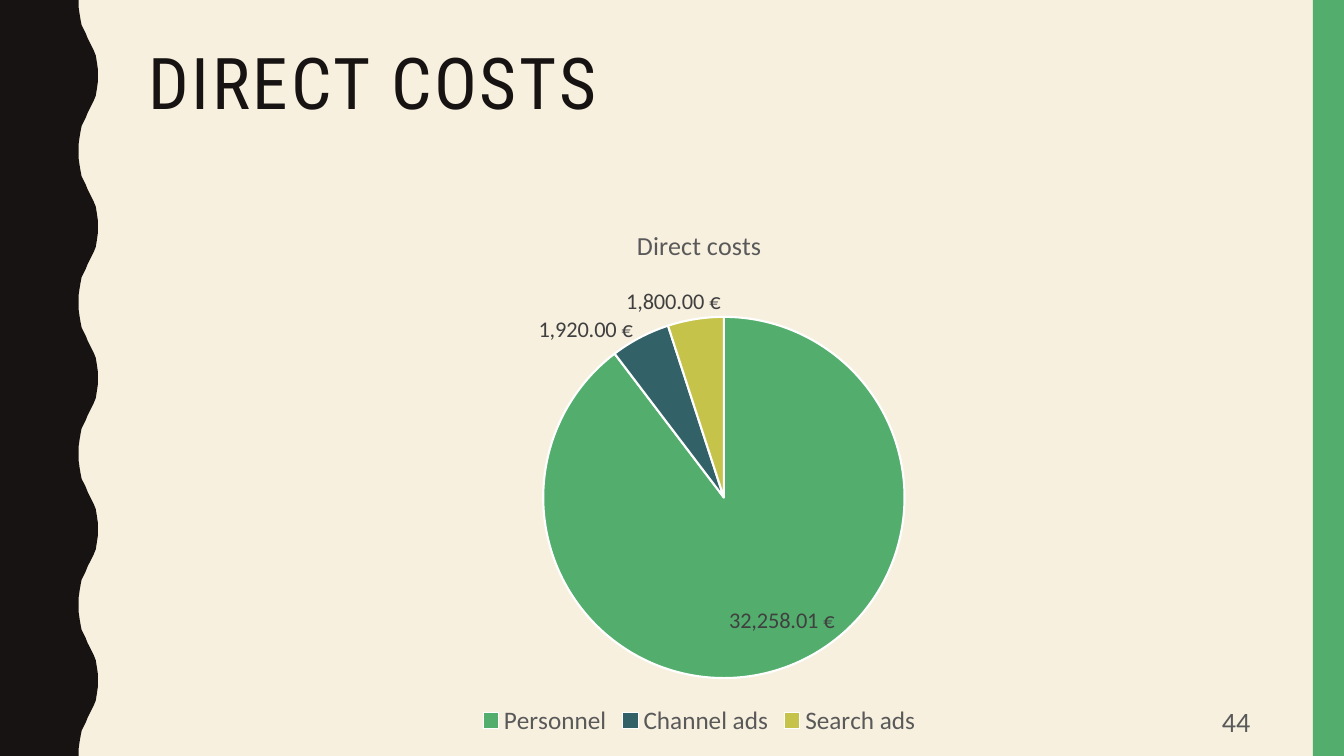
from dataclasses import dataclass

from lxml import etree
from pptx import Presentation
from pptx.chart.data import CategoryChartData
from pptx.dml.color import RGBColor
from pptx.enum.chart import XL_CHART_TYPE, XL_LABEL_POSITION as LabelPosition, XL_LEGEND_POSITION
from pptx.enum.shapes import MSO_SHAPE
from pptx.enum.text import MSO_ANCHOR as Anchor, MSO_AUTO_SIZE, PP_ALIGN as Align
from pptx.oxml.ns import qn
from pptx.util import Inches, Pt

TITLE = "DIRECT COSTS"
CHART_TITLE = "Direct costs"
PAGE_NUMBER = "44"
INSIDE, OUTSIDE = LabelPosition.INSIDE_END, LabelPosition.OUTSIDE_END
# Name, value, colour, label position, label shift as fractions of the chart area
COSTS = [
    ("Personnel", 32258.01, "53AE6E", INSIDE, (0.049, -0.052)),
    ("Channel ads", 1920, "326267", OUTSIDE, (-0.004, 0.022)),
    ("Search ads", 1800, "C5C34A", OUTSIDE, (0.023, 0.004)),
]
EURO_FORMAT = '#,##0.00\\ "€"'

SLIDE_WIDTH, SLIDE_HEIGHT = 13.33, 7.5
CONTENT_LEFT, CONTENT_WIDTH = 1.37, 11.13
STRIP_WIDTH = 0.31
# Fractions of the chart area taken by the pie
PIE_LAYOUT = {"x": 0.361, "y": 0.206, "w": 0.322, "h": 0.677}

# Half a wave of the left band, from trough to crest, in hundredths of an inch: (x, y)
WAVE_PERIOD = 150
HALF_WAVE = [
    (78, 0), (78, 7), (79, 14), (80, 20), (81, 25), (83, 29), (85, 33), (87, 38),
    (89, 42), (91, 46), (93, 50), (95, 55), (96, 61), (97, 68), (97, 75),
]


@dataclass(frozen=True)
class Theme:
    background: str = "F7F0DF"
    dark: str = "171312"
    accent: str = "53AE6E"
    grey: str = "595959"
    label: str = "404040"
    edge: str = "FFFFFF"
    heading_font: str = "Roboto Condensed"
    body_font: str = "Calibri"
    title_size: float = 51
    chart_title_size: float = 18.6
    legend_size: float = 18
    label_size: float = 16
    number_size: float = 20


THEME = Theme()


def style_font(font, size, color, name=THEME.body_font):
    font.size, font.name, font.bold = Pt(size), name, False
    font.color.rgb = RGBColor.from_string(color)


def paint(shape, color):
    shape.shadow.inherit = False
    shape.fill.solid()
    shape.fill.fore_color.rgb = RGBColor.from_string(color)
    shape.line.fill.background()


def write_text(shape, text, *, size, color, font=THEME.body_font, align=Align.LEFT,
               anchor=Anchor.TOP, line_spacing=1.0, tracking=0):
    """Fill a shape with one paragraph; tracking is letter spacing in points."""
    frame = shape.text_frame
    frame.word_wrap, frame.auto_size = True, MSO_AUTO_SIZE.NONE
    frame.vertical_anchor = anchor
    paragraph = frame.paragraphs[0]
    paragraph.alignment, paragraph.line_spacing = align, line_spacing
    run = paragraph.add_run()
    run.text = text
    style_font(run.font, size, color, font)
    if tracking:
        run.font._element.set("spc", str(tracking * 100))


def add_wavy_band(slide):
    height = round(SLIDE_HEIGHT * 100)
    wave = HALF_WAVE + [(x, WAVE_PERIOD - y) for x, y in HALF_WAVE[-2:0:-1]]
    edge = [(x, y + start) for start in range(0, height, WAVE_PERIOD) for x, y in wave]
    outline = edge + [(HALF_WAVE[0][0], height), (0, height)]
    builder = slide.shapes.build_freeform(0, 0, scale=Inches(0.01))
    builder.add_line_segments(outline, close=True)
    paint(builder.convert_to_shape(), THEME.dark)


def set_layout(parent, index, settings):
    """Give a chart part a manual layout as its child at the index."""
    for old_layout in parent.findall(qn("c:layout")):
        parent.remove(old_layout)
    layout = etree.Element(qn("c:layout"))
    manual = etree.SubElement(layout, qn("c:manualLayout"))
    for name, value in settings.items():
        etree.SubElement(manual, qn(f"c:{name}")).set("val", str(value))
    parent.insert(index, layout)


def add_cost_chart(slide):
    names, values, colors, positions, shifts = zip(*COSTS)
    data = CategoryChartData(number_format=EURO_FORMAT)
    data.categories = names
    data.add_series(CHART_TITLE, values)
    chart = slide.shapes.add_chart(
        XL_CHART_TYPE.PIE, Inches(CONTENT_LEFT), Inches(2.05),
        Inches(CONTENT_WIDTH), Inches(5.3), data).chart
    style_font(chart.font, THEME.legend_size, THEME.grey)

    chart.has_title = True
    title_frame = chart.chart_title.text_frame
    title_frame.text = CHART_TITLE
    style_font(title_frame.paragraphs[0].runs[0].font, THEME.chart_title_size, THEME.grey)
    chart.chart_title.include_in_layout = False

    chart.has_legend = True
    chart.legend.position = XL_LEGEND_POSITION.BOTTOM
    chart.legend.include_in_layout = False
    style_font(chart.legend.font, THEME.legend_size, THEME.grey)

    plot = chart.plots[0]
    plot.vary_by_categories = True
    series = plot.series[0]
    labels = series.data_labels
    labels.show_value = True
    labels.number_format, labels.number_format_is_linked = EURO_FORMAT, False
    style_font(labels.font, THEME.label_size, THEME.label)
    for leader_lines in labels._element.findall(qn("c:showLeaderLines")):
        leader_lines.set("val", "0")

    for index, (color, position, shift) in enumerate(zip(colors, positions, shifts)):
        point = series.points[index]
        point.format.fill.solid()
        point.format.fill.fore_color.rgb = RGBColor.from_string(color)
        point.format.line.color.rgb = RGBColor.from_string(THEME.edge)
        point.format.line.width = Pt(1.5)
        style_font(point.data_label.font, THEME.label_size, THEME.label)
        point.data_label.position = position
        set_layout(labels._element.findall(qn("c:dLbl"))[index], 1, dict(zip("xy", shift)))

    set_layout(chart._chartSpace.chart.plotArea, 0,
               {"layoutTarget": "inner", "xMode": "edge", "yMode": "edge", **PIE_LAYOUT})


def main():
    presentation = Presentation()
    presentation.slide_width = Inches(SLIDE_WIDTH)
    presentation.slide_height = Inches(SLIDE_HEIGHT)
    slide = presentation.slides.add_slide(presentation.slide_layouts.get_by_name("Title Only"))
    slide.background.fill.solid()
    slide.background.fill.fore_color.rgb = RGBColor.from_string(THEME.background)

    add_wavy_band(slide)
    strip = slide.shapes.add_shape(
        MSO_SHAPE.RECTANGLE, Inches(SLIDE_WIDTH - STRIP_WIDTH), 0,
        Inches(STRIP_WIDTH), Inches(SLIDE_HEIGHT))
    paint(strip, THEME.accent)

    title = slide.shapes.title
    title.left, title.top = Inches(CONTENT_LEFT), Inches(0.42)
    title.width, title.height = Inches(CONTENT_WIDTH), Inches(1.63)
    write_text(title, TITLE, size=THEME.title_size, color=THEME.dark,
               font=THEME.heading_font, line_spacing=0.9, tracking=2)

    add_cost_chart(slide)
    number_width = 3.08
    number_box = slide.shapes.add_textbox(
        Inches(CONTENT_LEFT + CONTENT_WIDTH - number_width), Inches(6.97),
        Inches(number_width), Inches(0.38))
    write_text(number_box, PAGE_NUMBER, size=THEME.number_size, color=THEME.grey,
               align=Align.RIGHT, anchor=Anchor.MIDDLE)
    presentation.save("out.pptx")


if __name__ == "__main__":
    main()
